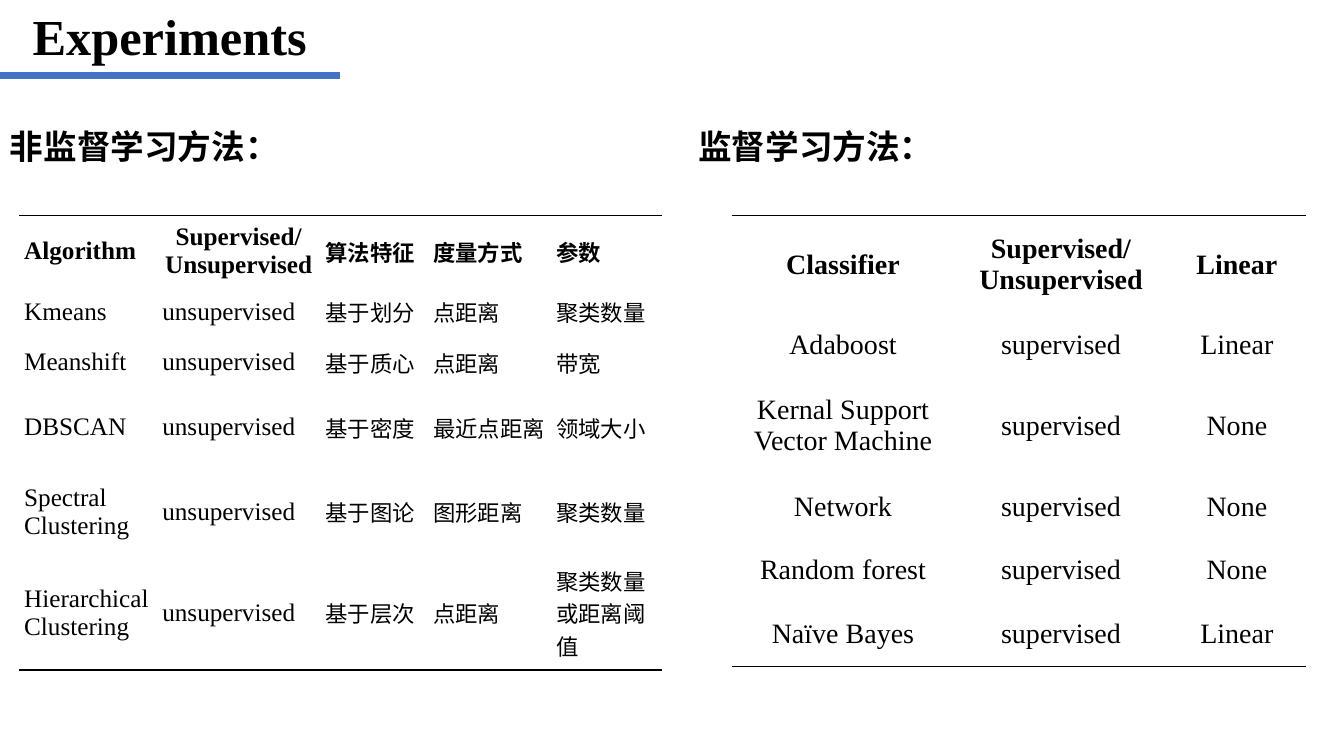
from dataclasses import dataclass

import lxml.etree
import pptx
import pptx.dml.color
import pptx.enum.shapes
import pptx.enum.text
import pptx.oxml.ns
import pptx.util

Cm = pptx.util.Cm
Pt = pptx.util.Pt
Align = pptx.enum.text.PP_ALIGN
qn = pptx.oxml.ns.qn


@dataclass(frozen=True)
class Theme:
    ink: str = "000000"
    accent: str = "4472C4"
    latin: str = "Times New Roman"
    chinese: str = "Noto Sans CJK SC"
    title_size: int = 36
    heading_size: int = 24
    classifier_size: int = 20
    algorithm_size: int = 18
    chinese_size: int = 16
    title_rule: float = 4.5
    table_rule: float = 1
    no_grid_style: str = "{2D5ABB26-0587-4C30-8999-92F81FD0307C}"


@dataclass(frozen=True)
class Label:
    text: str
    left: float
    top: float
    width: float
    height: float
    size: int
    align: Align = Align.LEFT


@dataclass(frozen=True)
class MethodTable:
    left: float
    top: float
    columns: list[float]
    heights: list[float]
    inset: float
    size: int
    align: Align
    rows: list[list[str]]


THEME = Theme()

LABELS = [
    Label("Experiments", 0, 0, 8.56, 1.8, THEME.title_size, Align.CENTER),
    Label("非监督学习方法：", 0, 3.05, 9.09, 1.27, THEME.heading_size),
    Label("监督学习方法：", 17.35, 3.05, 9.09, 1.27, THEME.heading_size),
]

TABLES = [
    MethodTable(
        0.48, 5.44,
        [3.48, 4.11, 2.72, 3.1, 2.79],
        [1.7, 1.27, 1.27, 2.01, 2.24, 2.87],
        0.13, THEME.algorithm_size, Align.LEFT,
        [
            ["Algorithm", "Supervised/\nUnsupervised", "算法特征", "度量方式", "参数"],
            ["Kmeans", "unsupervised", "基于划分", "点距离", "聚类数量"],
            ["Meanshift", "unsupervised", "基于质心", "点距离", "带宽"],
            ["DBSCAN", "unsupervised", "基于密度", "最近点距离", "领域大小"],
            ["Spectral Clustering", "unsupervised", "基于图论", "图形距离", "聚类数量"],
            ["Hierarchical Clustering", "unsupervised", "基于层次", "点距离", "聚类数量或距离阈值"],
        ],
    ),
    MethodTable(
        18.44, 5.44,
        [5.61, 5.38, 3.48],
        [2.45, 1.61, 2.45, 1.61, 1.61, 1.61],
        0.38, THEME.classifier_size, Align.CENTER,
        [
            ["Classifier", "Supervised/\nUnsupervised", "Linear"],
            ["Adaboost", "supervised", "Linear"],
            ["Kernal Support Vector Machine", "supervised", "None"],
            ["Network", "supervised", "None"],
            ["Random forest", "supervised", "None"],
            ["Naïve Bayes", "supervised", "Linear"],
        ],
    ),
]


def is_chinese(text: str) -> bool:
    return any("一" <= letter <= "龥" for letter in text)


def style_paragraph(para, size: int, bold: bool, align: Align) -> None:
    family = THEME.chinese if is_chinese(para.text) else THEME.latin
    para.alignment = align
    font = para.font
    font.size = Pt(size)
    font.bold = bold
    font.color.rgb = pptx.dml.color.RGBColor.from_string(THEME.ink)
    font.name = family
    properties = para._p.find(".//" + qn("a:defRPr"))
    lxml.etree.SubElement(properties, qn("a:ea"), typeface=family)


def add_label(page, label: Label) -> None:
    box = page.shapes.add_textbox(
        Cm(label.left), Cm(label.top), Cm(label.width), Cm(label.height))
    frame = box.text_frame
    frame.word_wrap = True
    frame.text = label.text
    style_paragraph(frame.paragraphs[0], label.size, True, label.align)


def add_title_rule(page) -> None:
    rule = page.shapes.add_connector(
        pptx.enum.shapes.MSO_CONNECTOR.STRAIGHT, Cm(-0.05), Cm(1.9), Cm(8.56), Cm(1.9))
    rule.line.color.rgb = pptx.dml.color.RGBColor.from_string(THEME.accent)
    rule.line.width = Pt(THEME.title_rule)
    lxml.etree.SubElement(rule._element.spPr, qn("a:effectLst"))


def add_border(cell, edge: str) -> None:
    line = lxml.etree.SubElement(
        cell._tc.get_or_add_tcPr(), qn(edge), w=str(Pt(THEME.table_rule)))
    fill = lxml.etree.SubElement(line, qn("a:solidFill"))
    lxml.etree.SubElement(fill, qn("a:srgbClr"), val=THEME.ink)


def fill_cell(cell, text: str, method: MethodTable, header: bool) -> None:
    cell.text = text
    cell.vertical_anchor = pptx.enum.text.MSO_ANCHOR.MIDDLE
    cell.margin_left = cell.margin_right = Cm(method.inset)
    cell.margin_top = cell.margin_bottom = Cm(method.inset)
    cell.fill.background()
    size = THEME.chinese_size if is_chinese(text) else method.size
    align = Align.CENTER if "\n" in text else method.align
    for para in cell.text_frame.paragraphs:
        style_paragraph(para, size, header, align)


def add_method_table(page, method: MethodTable) -> None:
    table = page.shapes.add_table(
        len(method.rows), len(method.columns), Cm(method.left), Cm(method.top),
        Cm(sum(method.columns)), Cm(sum(method.heights))).table
    table.first_row = False
    table.horz_banding = False
    table._tbl.tblPr.find(qn("a:tableStyleId")).text = THEME.no_grid_style
    for column, width in zip(table.columns, method.columns):
        column.width = Cm(width)
    last = len(method.rows) - 1
    for index, (row, height) in enumerate(zip(table.rows, method.heights)):
        row.height = Cm(height)
        for cell, text in zip(row.cells, method.rows[index]):
            if index == 0:
                add_border(cell, "a:lnT")
            if index == last:
                add_border(cell, "a:lnB")
            fill_cell(cell, text, method, index == 0)


def main() -> None:
    deck = pptx.Presentation()
    deck.slide_width = Cm(33.87)
    deck.slide_height = Cm(19.05)
    page = deck.slides.add_slide(deck.slide_layouts[6])
    add_title_rule(page)
    for label in LABELS:
        add_label(page, label)
    for method in TABLES:
        add_method_table(page, method)
    deck.save("out.pptx")


if __name__ == "__main__":
    main()
